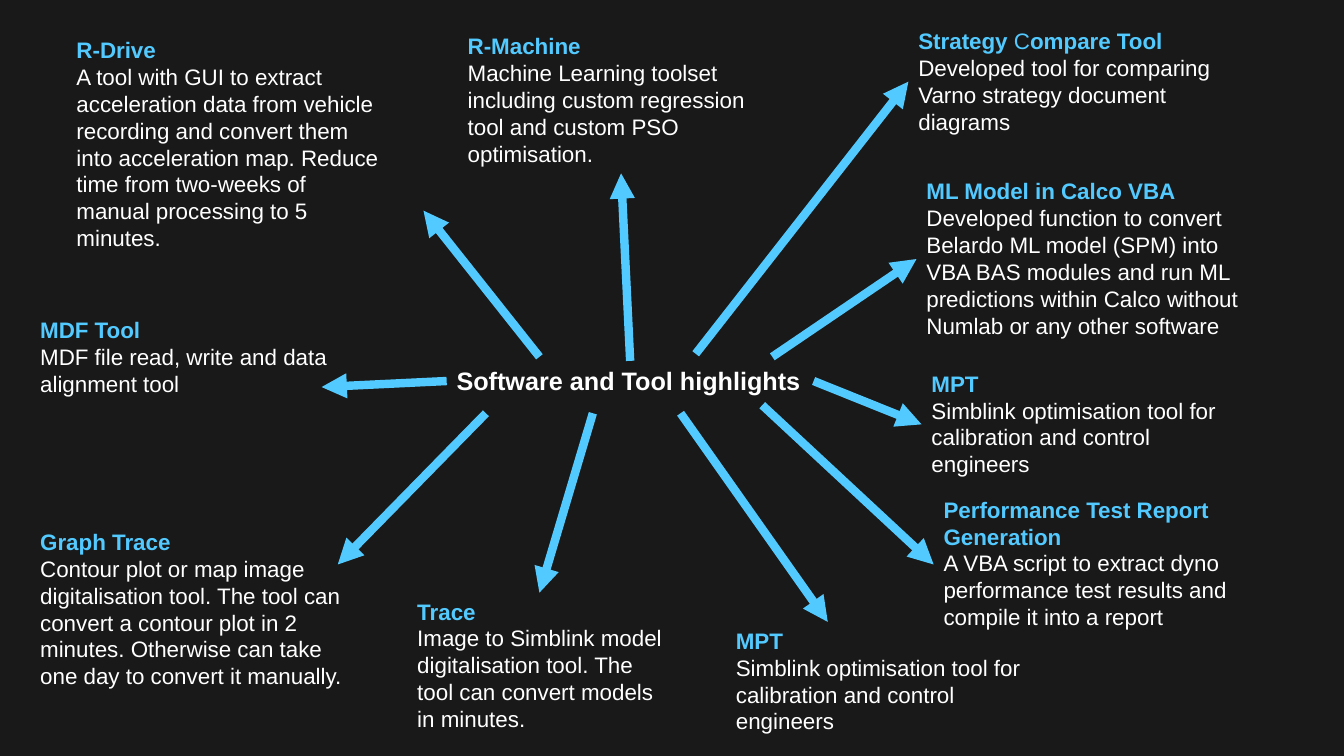
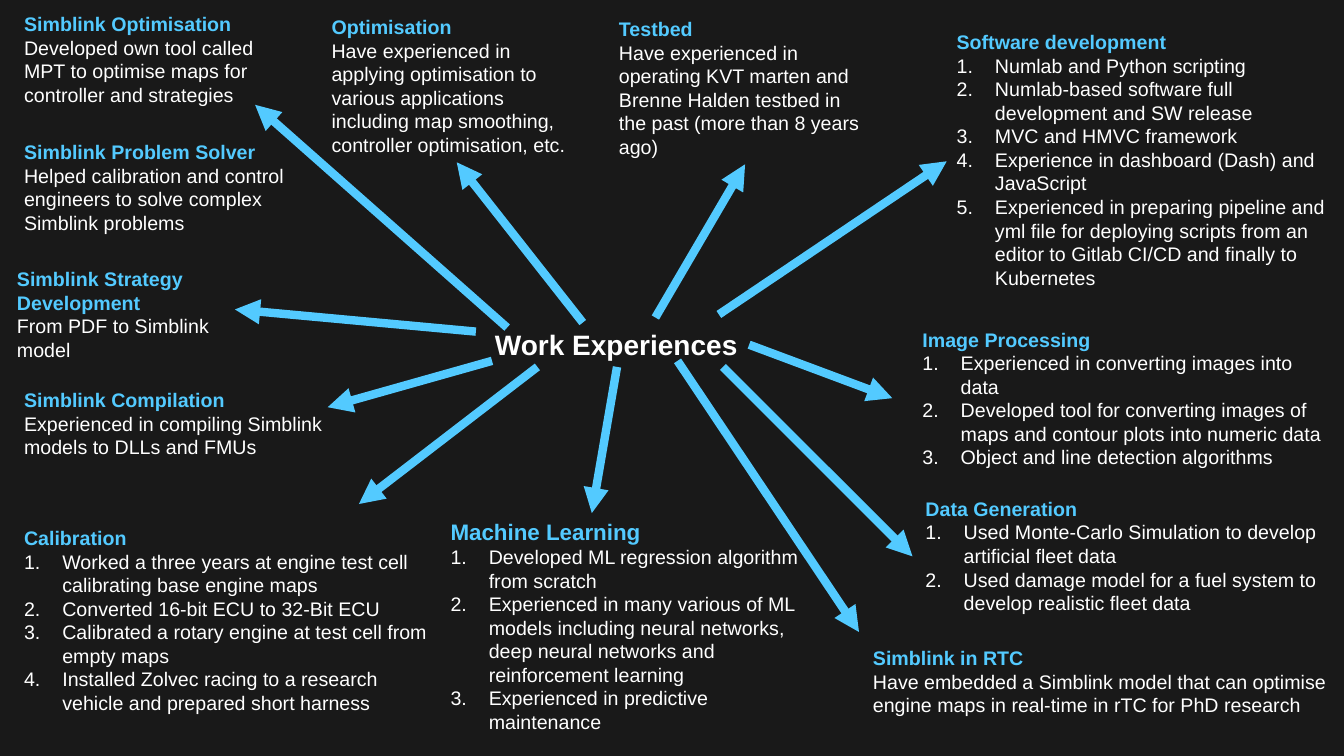
import pptx
import pptx.util
import pptx.dml.color
import pptx.enum.shapes
import pptx.enum.text
import pptx.oxml.ns
from dataclasses import dataclass
from lxml import etree
from pptx.util import Inches


@dataclass(frozen=True)
class Theme:
    font: str = "Arial"
    background: str = "191919"
    accent: str = "53CAFF"
    text: str = "FFFFFF"
    large: int = 16
    small: int = 14
    arrow_width: int = 6
    list_indent: float = 0.38


THEME = Theme()

# Content: a card is (left, top, width, height), heading, body[, heading size].
# A list as body is numbered; a tuple as heading alternates bold and regular.
# An arrow is (start x, start y, end x, end y).
MPT = "Simblink optimisation tool for calibration and control engineers"

HIGHLIGHTS = {
    "hub": ("Software and Tool highlights", (4.43, 3.58, 3.65, 0.4), 18),
    "size": THEME.large,
    "cards": [
        ((0.66, 0.31, 3.25, 2.26), "R-Drive",
         "A tool with GUI to extract acceleration data from vehicle recording and convert "
         "them into acceleration map. Reduce time from two-weeks of manual processing to "
         "5 minutes."),
        ((4.54, 0.27, 3.25, 1.45), "R-Machine",
         "Machine Learning toolset including custom regression tool and custom PSO "
         "optimisation."),
        ((9.01, 0.22, 3.25, 1.18), ("Strategy ", "C", "ompare Tool"),
         "Developed tool for comparing Varno strategy document diagrams"),
        ((9.09, 1.71, 3.53, 1.72), "ML Model in Calco VBA",
         "Developed function to convert Belardo ML model (SPM) into VBA BAS modules and run "
         "ML predictions within Calco without Numlab or any other software"),
        ((9.14, 3.62, 3.25, 1.18), "MPT", MPT),
        ((9.26, 4.87, 3.25, 1.45), "Performance Test Report Generation",
         "A VBA script to extract dyno performance test results and compile it into a report"),
        ((7.2, 6.17, 3.25, 1.18), "MPT", MPT),
        ((4.04, 5.88, 2.63, 1.45), "Trace",
         "Image to Simblink model digitalisation tool. The tool can convert models in minutes."),
        ((0.3, 5.19, 3.25, 1.72), "Graph Trace",
         "Contour plot or map image digitalisation tool. The tool can convert a contour plot "
         "in 2 minutes. Otherwise can take one day to convert it manually."),
        ((0.3, 3.09, 3.25, 0.91), "MDF Tool",
         "MDF file read, write and data alignment tool"),
    ],
    "arrows": [
        (5.35, 3.54, 4.2, 2.09), (6.25, 3.58, 6.16, 1.72), (6.9, 3.51, 9.01, 0.81),
        (7.66, 3.54, 9.09, 2.57), (8.07, 3.78, 9.14, 4.21), (7.56, 4.02, 9.26, 5.6),
        (6.75, 4.1, 8.21, 6.17), (5.88, 4.1, 5.35, 5.88), (4.82, 4.1, 3.35, 5.6),
        (4.43, 3.78, 3.19, 3.84),
    ],
}

EXPERIENCES = {
    "hub": ("Work Experiences", (4.81, 3.2, 2.63, 0.44), 20),
    "size": THEME.small,
    "cards": [
        ((0.14, 0.07, 2.69, 1.04), "Simblink Optimisation",
         "Developed own tool called MPT to optimise maps for controller and strategies"),
        ((0.14, 1.34, 2.95, 1.04), "Simblink Problem Solver",
         "Helped calibration and control engineers to solve complex Simblink problems"),
        ((0.07, 2.6, 2.57, 1.04), "Simblink Strategy Development",
         "From PDF to Simblink model"),
        ((0.14, 3.8, 3.25, 0.81), "Simblink Compilation",
         "Experienced in compiling Simblink models to DLLs and FMUs"),
        ((0.14, 5.17, 4.23, 1.99), "Calibration", [
            "Worked a three years at engine test cell calibrating base engine maps",
            "Converted 16-bit ECU to 32-Bit ECU",
            "Calibrated a rotary engine at test cell from empty maps",
            "Installed Zolvec racing to a research vehicle and prepared short harness"]),
        ((4.37, 5.09, 3.83, 2.79), "Machine Learning", [
            "Developed ML regression algorithm from scratch",
            "Experienced in many various of ML models including neural networks, deep neural "
            "networks and reinforcement learning",
            "Experienced in predictive maintenance"], THEME.large),
        ((3.19, 0.1, 2.68, 1.51), "Optimisation",
         "Have experienced in applying optimisation to various applications including map "
         "smoothing, controller optimisation, etc."),
        ((6.04, 0.12, 2.69, 1.51), "Testbed",
         "Have experienced in operating KVT marten and Brenne Halden testbed in the past "
         "(more than 8 years ago)"),
        ((9.39, 0.25, 4.03, 2.69), "Software development", [
            "Numlab and Python scripting",
            "Numlab-based software full development and SW release",
            "MVC and HMVC framework",
            "Experience in dashboard (Dash) and JavaScript",
            "Experienced in preparing pipeline and yml file for deploying scripts from "
            "an editor to Gitlab CI/CD and finally to Kubernetes"]),
        ((9.05, 3.2, 4.19, 1.75), "Image Processing", [
            "Experienced in converting images into data",
            "Developed tool for converting images of maps and contour plots into numeric data",
            "Object and line detection algorithms"]),
        ((9.08, 4.88, 4.28, 1.28), "Data Generation", [
            "Used Monte-Carlo Simulation to develop artificial fleet data",
            "Used damage model for a fuel system to develop realistic fleet data"]),
        ((8.56, 6.36, 4.87, 0.81), "Simblink in RTC",
         "Have embedded a Simblink model that can optimise engine maps in real-time in rTC "
         "for PhD research"),
    ],
    "arrows": [
        (5.03, 3.25, 2.53, 1.04), (5.78, 3.2, 4.53, 1.61), (6.5, 3.15, 7.39, 1.63),
        (7.13, 3.12, 9.39, 1.6), (7.43, 3.42, 8.85, 3.95), (7.17, 3.64, 9.05, 5.52),
        (6.72, 3.58, 8.52, 6.27), (6.12, 3.64, 5.87, 5.09), (5.33, 3.64, 3.56, 5),
        (4.88, 3.58, 3.25, 4.04), (4.72, 3.29, 2.33, 3.07),
    ],
}


def colour(value):
    return pptx.dml.color.RGBColor.from_string(value)


# Text
def add_box(page, place, wrap=True):
    frame = page.shapes.add_textbox(*map(Inches, place)).text_frame
    frame.word_wrap = wrap
    frame.auto_size = pptx.enum.text.MSO_AUTO_SIZE.SHAPE_TO_FIT_TEXT
    return frame


def write(para, text, *, size, color=THEME.text, bold=False):
    span = para.add_run()
    span.text = text
    span.font.name = THEME.font
    span.font.size = pptx.util.Pt(size)
    span.font.bold = bold
    span.font.color.rgb = colour(color)


def number(para):
    properties = para._p.get_or_add_pPr()
    indent = Inches(THEME.list_indent)
    properties.set("marL", str(indent))
    properties.set("indent", str(-indent))
    font = etree.SubElement(properties, pptx.oxml.ns.qn("a:buFont"))
    font.set("typeface", THEME.font)
    bullet = etree.SubElement(properties, pptx.oxml.ns.qn("a:buAutoNum"))
    bullet.set("type", "arabicPeriod")


def add_card(page, size, place, heading, body, heading_size=None):
    frame = add_box(page, place)
    pieces = (heading,) if isinstance(heading, str) else heading
    for index, piece in enumerate(pieces):
        write(frame.paragraphs[0], piece, size=heading_size or size,
              color=THEME.accent, bold=index % 2 == 0)
    numbered = isinstance(body, list)
    for text in body if numbered else [body]:
        para = frame.add_paragraph()
        if numbered:
            number(para)
        write(para, text, size=size)


# Arrows
def add_arrow(page, ends):
    arrow = page.shapes.add_connector(
        pptx.enum.shapes.MSO_CONNECTOR.STRAIGHT, *map(Inches, ends))
    arrow.line.color.rgb = colour(THEME.accent)
    arrow.line.width = pptx.util.Pt(THEME.arrow_width)
    tail = etree.SubElement(arrow.line._get_or_add_ln(), pptx.oxml.ns.qn("a:tailEnd"))
    tail.set("type", "triangle")
    etree.SubElement(arrow._element.spPr, pptx.oxml.ns.qn("a:effectLst"))


# Slides
def add_map(deck, content):
    page = deck.slides.add_slide(deck.slide_layouts[6])
    page.background.fill.solid()
    page.background.fill.fore_color.rgb = colour(THEME.background)
    title, place, size = content["hub"]
    write(add_box(page, place, wrap=False).paragraphs[0], title, size=size, bold=True)
    for card in content["cards"]:
        add_card(page, content["size"], *card)
    for ends in content["arrows"]:
        add_arrow(page, ends)


def main():
    deck = pptx.Presentation()
    deck.slide_width = Inches(13.33)
    deck.slide_height = Inches(7.5)
    for content in (HIGHLIGHTS, EXPERIENCES):
        add_map(deck, content)
    deck.save("out.pptx")


if __name__ == "__main__":
    main()
